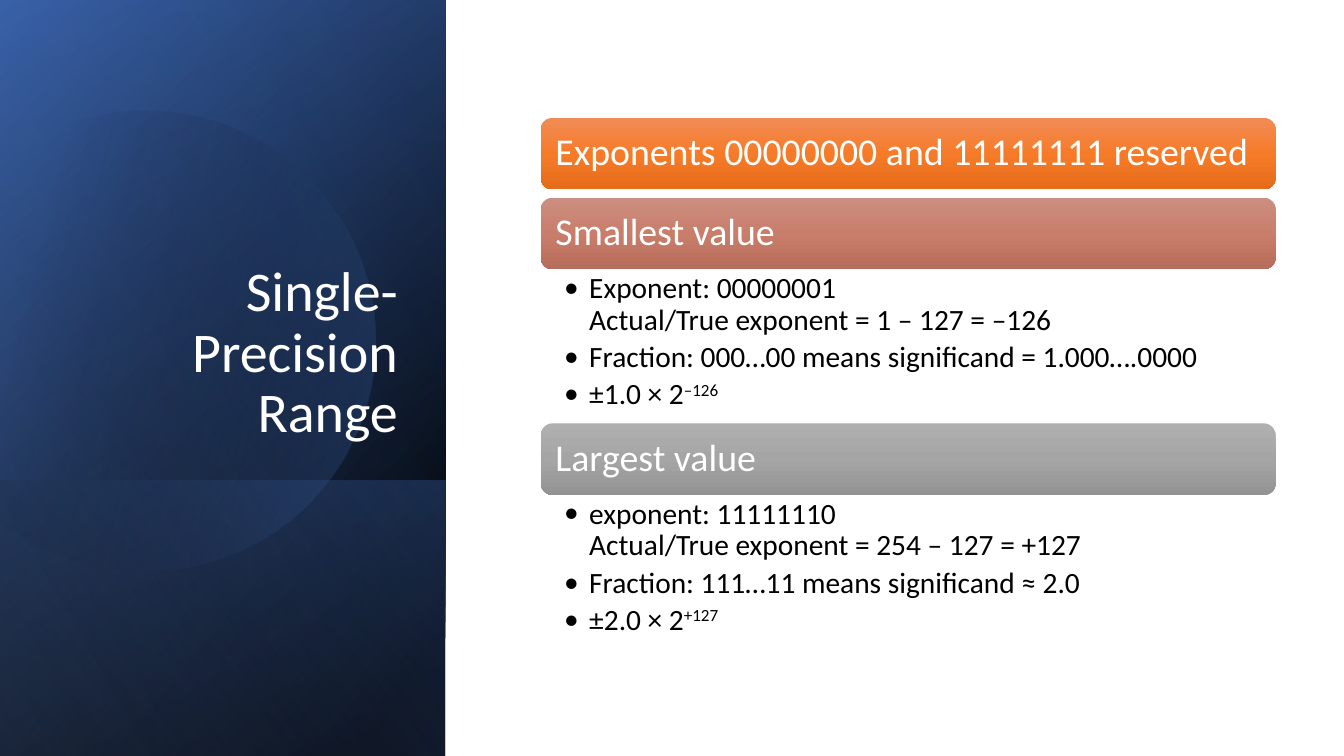
import math

from lxml import etree
from pptx import Presentation
from pptx import util as u
from pptx.dml.color import RGBColor
from pptx.enum import shapes, text
from pptx.oxml import parse_xml
from pptx.oxml.ns import nsdecls, qn

Pt = u.Pt
FONT = "Calibri"
C = {
    "white": "FFFFFF", "black": "000000", "navy": "2F5597", "blue": "4472C4", "sky": "8FAADC",
    "orange_top": "F18C57", "orange": "F67B28", "orange_low": "E56C19",
    "rose_top": "CB8F81", "rose": "C97E6B", "rose_low": "B76D5B",
    "gray_top": "AFAFAF", "gray": "A5A5A5", "gray_low": "939393",
}
SECTIONS = [
    ("Exponents 00000000 and 11111111 reserved", "orange", []),
    ("Smallest value", "rose", [
        "Exponent: 00000001\nActual/True exponent = 1 – 127 = –126",
        "Fraction: 000…00 means significand = 1.000….0000",
        "±1.0 × 2^–126"]),
    ("Largest value", "gray", [
        "exponent: 11111110\nActual/True exponent = 254 – 127 = +127",
        "Fraction: 111…11 means significand ≈ 2.0",
        "±2.0 × 2^+127"]),
]


def style_gradient(sp, stops, angle):
    sp.shadow.inherit = False
    sp.line.fill.background()
    sp.fill.background()
    gs = "".join(
        f'<a:gs pos="{pos * 1000}"><a:srgbClr val="{C[name]}">'
        f'<a:alpha val="{alpha * 1000}"/></a:srgbClr></a:gs>'
        for pos, name, alpha in stops)
    grad = parse_xml(
        f'<a:gradFill {nsdecls("a")} rotWithShape="1"><a:gsLst>{gs}</a:gsLst>'
        f'<a:lin ang="{angle * 60000}" scaled="0"/></a:gradFill>')
    sp_pr = sp._element.spPr
    sp_pr.replace(sp_pr.find(qn("a:noFill")), grad)


def put_text(sp, paragraphs, size, color, align=text.PP_ALIGN.LEFT,
             anchor=text.MSO_ANCHOR.TOP, insets=(7.2, 3.6, 7.2, 3.6),
             space_after=0, bullet=False):
    tf = sp.text_frame
    tf.word_wrap = True
    tf.vertical_anchor = anchor
    tf.margin_left, tf.margin_top, tf.margin_right, tf.margin_bottom = map(Pt, insets)
    for i, paragraph in enumerate(paragraphs):
        p = tf.add_paragraph() if i else tf.paragraphs[0]
        p.alignment = align
        p.line_spacing = 0.9
        p.space_after = Pt(space_after)
        if bullet:
            p_pr = p._p.get_or_add_pPr()
            p_pr.set("marL", str(Pt(18)))
            p_pr.set("indent", str(Pt(-18)))
            etree.SubElement(p_pr, qn("a:buFont")).set("typeface", FONT)
            etree.SubElement(p_pr, qn("a:buChar")).set("char", "•")
        for j, line in enumerate(paragraph.split("\n")):
            if j:
                p.add_line_break()
            for k, part in enumerate(line.split("^")):
                r = p.add_run()
                r.text = part
                r.font.size = Pt(size)
                r.font.name = FONT
                r.font.color.rgb = RGBColor.from_string(C[color])
                if k:
                    r.font._element.set("baseline", "30000")


def add_turned_panel(s, x, y, w, h, stops, angle):
    sp = s.shapes.add_shape(shapes.MSO_SHAPE.RECTANGLE,
                            Pt(x + (w - h) / 2), Pt(y + (h - w) / 2), Pt(h), Pt(w))
    sp.rotation = 90
    sp._element.spPr.find(qn("a:xfrm")).set("flipH", "1")
    style_gradient(sp, stops, angle)


def add_cut_disc(s, x, y, w, h, start, end):
    radius = h / 2
    builder = s.shapes.build_freeform(Pt(x), Pt(y))
    builder.add_line_segments(
        [(Pt(x + w), Pt(y)), (Pt(x + w), Pt(y + h)), (Pt(x), Pt(y + h))], close=True)
    sp = builder.convert_to_shape()
    outline = sp._element.spPr.find(".//" + qn("a:pathLst"))[0]
    for line in outline.findall(qn("a:lnTo")):
        outline.remove(line)
    first = outline.find(qn("a:moveTo"))
    first[0].set("x", str(Pt(w - radius + radius * math.cos(math.radians(start)))))
    first[0].set("y", str(Pt(radius + radius * math.sin(math.radians(start)))))
    first.addnext(parse_xml(
        f'<a:arcTo {nsdecls("a")} wR="{Pt(radius)}" hR="{Pt(radius)}" '
        f'stAng="{start * 60000}" swAng="{(end - start) * 60000}"/>'))
    sp.rotation = 343.9
    style_gradient(sp, [(29, "black", 0), (100, "blue", 43)], 30)


def add_title_panel(s, x, y, w, h):
    add_turned_panel(s, x, y, w, h, [(8, "black", 100), (100, "navy", 100)], 50)
    add_turned_panel(s, x, y, w, h, [(0, "black", 0), (99, "blue", 46)], 30)
    foot = 197
    add_turned_panel(s, x, y + h - foot, w, foot,
                     [(2, "blue", 29), (100, "black", 30)], 130)
    add_cut_disc(s, x - 39.6, y + 76.3, 307.4, 329, 242, 510)
    add_turned_panel(s, x, y, w, h, [(0, "black", 0), (99, "sky", 11)], 120)
    title = s.shapes.add_textbox(Pt(x + 45.7), Pt(y + 132.7), Pt(245.5), Pt(188.6))
    put_text(title, ["Single-Precision Range"], 40, "white",
             align=text.PP_ALIGN.RIGHT, anchor=text.MSO_ANCHOR.BOTTOM)


def add_sections(s, x, y, w, header_h=51.2, body_h=110, gap=5.8, pad=2.5):
    for heading, hue, bullets in SECTIONS:
        bar = s.shapes.add_shape(shapes.MSO_SHAPE.ROUNDED_RECTANGLE,
                                 Pt(x), Pt(y), Pt(w), Pt(header_h))
        style_gradient(bar, [(0, hue + "_top", 100), (50, hue, 100),
                             (100, hue + "_low", 100)], 90)
        label = s.shapes.add_textbox(Pt(x + pad), Pt(y + pad),
                                     Pt(w - 2 * pad), Pt(header_h - 2 * pad))
        put_text(label, [heading], 27, "white", anchor=text.MSO_ANCHOR.MIDDLE,
                 insets=(8.1, 8.1, 8.1, 8.1))
        y += header_h
        if bullets:
            body = s.shapes.add_textbox(Pt(x), Pt(y), Pt(w), Pt(body_h))
            put_text(body, bullets, 21, "black", insets=(16.7, 2.7, 15, 2.7),
                     space_after=4, bullet=True)
            y += body_h
        else:
            y += gap


def main():
    prs = Presentation()
    prs.slide_width, prs.slide_height = Pt(960), Pt(540)
    s = prs.slides.add_slide(prs.slide_layouts[6])
    add_title_panel(s, 0, 0, 318.2, 540)
    add_sections(s, 386.2, 84.2, 525)
    prs.save("out.pptx")


if __name__ == "__main__":
    main()
